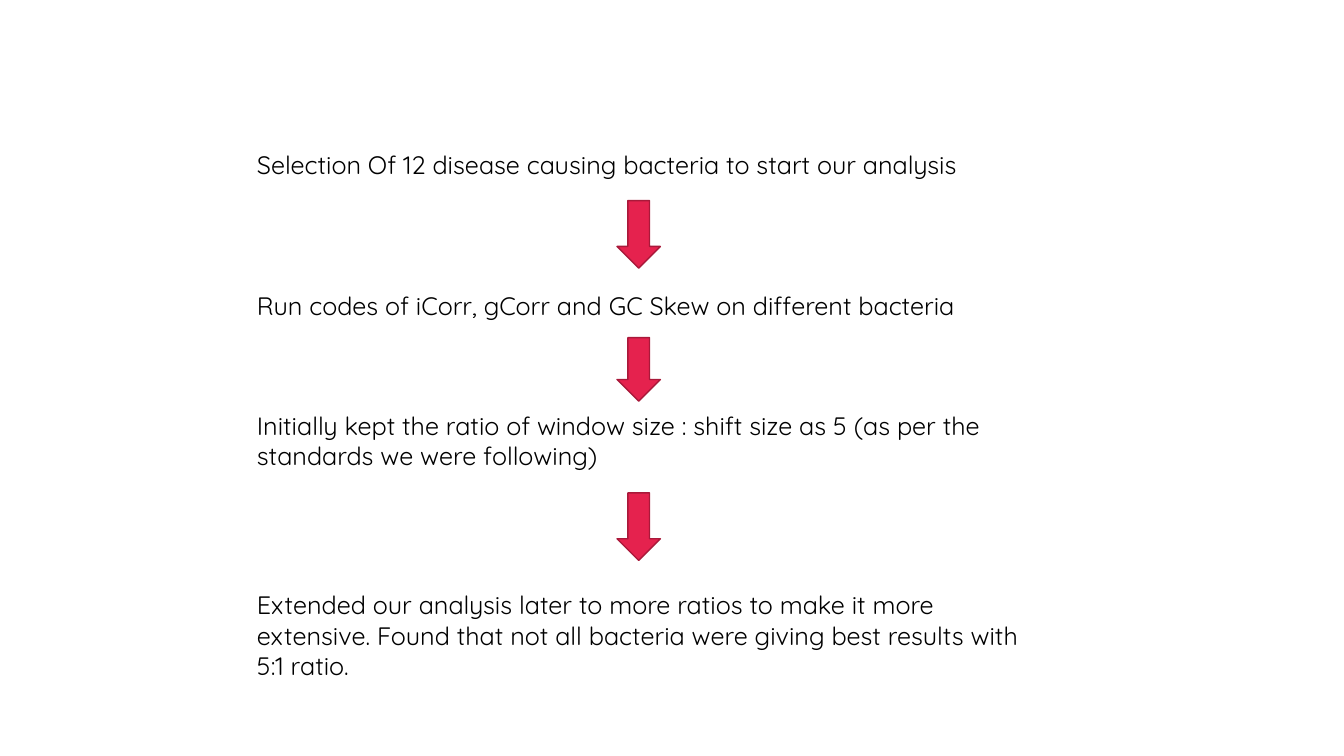
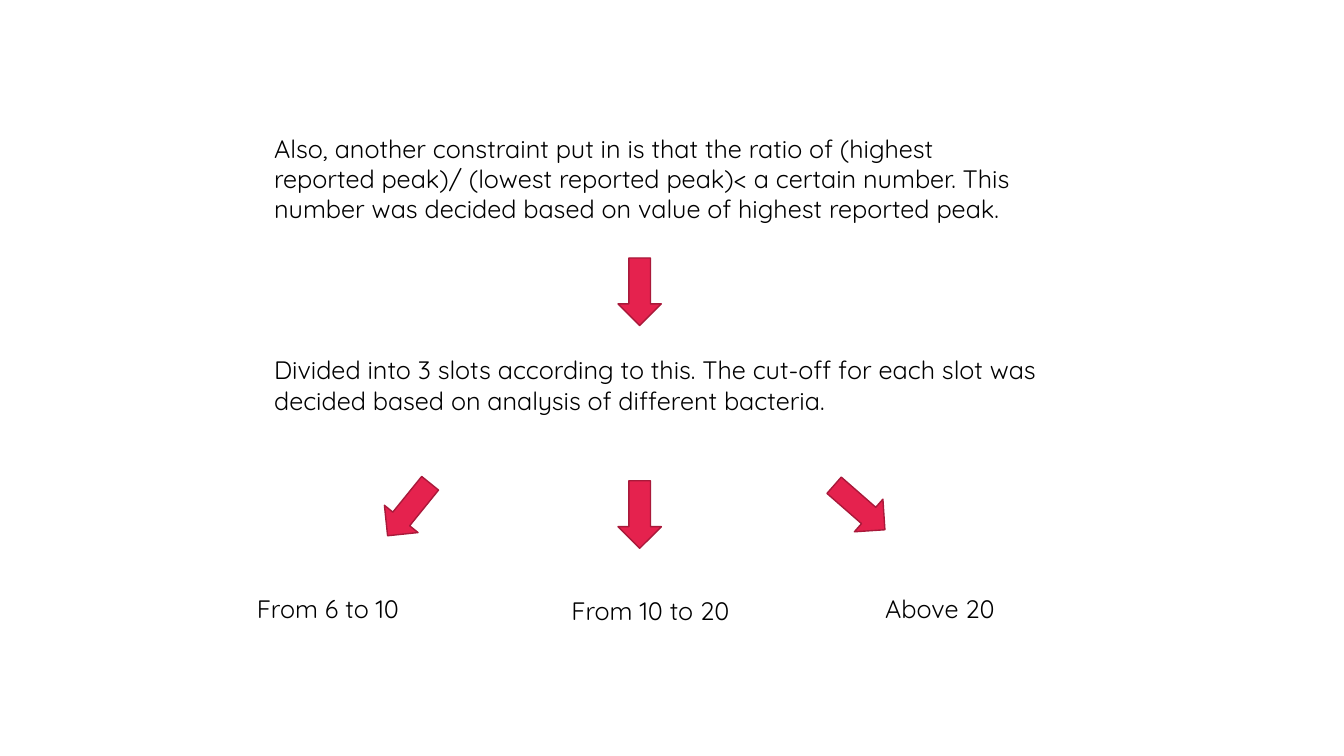
from dataclasses import dataclass

from pptx import Presentation
from pptx.dml.color import RGBColor
from pptx.enum.shapes import MSO_SHAPE
from pptx.enum.text import MSO_AUTO_SIZE
from pptx.slide import Slide
from pptx.util import Inches, Pt

FONT = "Quicksand"
INK, RED, EDGE = "000000", "E5224E", "A9193A"
WIDE, SLOT = 7.78, 2.46
LINE, PAD = 0.305, 0.1


@dataclass
class Note:
    text: str
    left: float
    top: float
    width: float = WIDE
    lines: int = 1


@dataclass
class Arrow:
    left: float
    top: float
    height: float = 0.67
    turn: float = 0


STEPS = [
    Note("Selection Of 12 disease causing bacteria to start our analysis", 2.45, 1.43),
    Arrow(6.12, 1.99),
    Note("Run codes of iCorr, gCorr and GC Skew on different bacteria", 2.45, 2.83),
    Arrow(6.12, 3.35, height=0.63),
    Note("Initially kept the ratio of window size : shift size as 5 "
         "(as per the standards we were following)", 2.45, 4.02, lines=2),
    Arrow(6.12, 4.89),
    Note("Extended our analysis later to more ratios to make it more extensive. "
         "Found that not all bacteria were giving best results with 5:1 ratio.",
         2.45, 5.8, lines=3),
]

SLOTS = [
    Note("Also, another constraint put in is that the ratio of (highest reported peak)/ "
         "(lowest reported peak)< a certain number. This number was decided based on "
         "value of highest reported peak.", 2.62, 1.27, lines=4),
    Arrow(6.13, 2.56),
    Note("Divided into 3 slots according to this. The cut-off for each slot was "
         "decided based on analysis of different bacteria.", 2.62, 3.47, lines=2),
    Arrow(3.84, 4.72, turn=39),
    Arrow(6.13, 4.77),
    Arrow(8.31, 4.7, turn=311.2),
    Note("From 6 to 10", 2.45, 5.84, SLOT),
    Note("From 10 to 20", 5.57, 5.86, SLOT),
    Note("Above 20", 8.68, 5.84, SLOT),
]


def color(code: str) -> RGBColor:
    return RGBColor.from_string(code)


def add_note(slide: Slide, note: Note) -> None:
    height = PAD + note.lines * LINE
    box = slide.shapes.add_textbox(
        Inches(note.left), Inches(note.top), Inches(note.width), Inches(height))
    frame = box.text_frame
    frame.word_wrap = True
    frame.auto_size = MSO_AUTO_SIZE.SHAPE_TO_FIT_TEXT
    frame.text = note.text
    font = frame.paragraphs[0].runs[0].font
    font.name = FONT
    font.size = Pt(18)
    font.color.rgb = color(INK)


def add_arrow(slide: Slide, arrow: Arrow) -> None:
    shape = slide.shapes.add_shape(
        MSO_SHAPE.DOWN_ARROW, Inches(arrow.left), Inches(arrow.top),
        Inches(0.43), Inches(arrow.height))
    shape.rotation = arrow.turn
    shape.shadow.inherit = False
    shape.fill.solid()
    shape.fill.fore_color.rgb = color(RED)
    shape.line.color.rgb = color(EDGE)
    shape.line.width = Pt(1)


def main() -> None:
    deck = Presentation()
    deck.slide_width = Inches(13.33)
    deck.slide_height = Inches(7.5)
    for items in (STEPS, SLOTS):
        slide = deck.slides.add_slide(deck.slide_layouts[6])
        for item in items:
            if isinstance(item, Note):
                add_note(slide, item)
            else:
                add_arrow(slide, item)
    deck.save("out.pptx")


if __name__ == "__main__":
    main()
